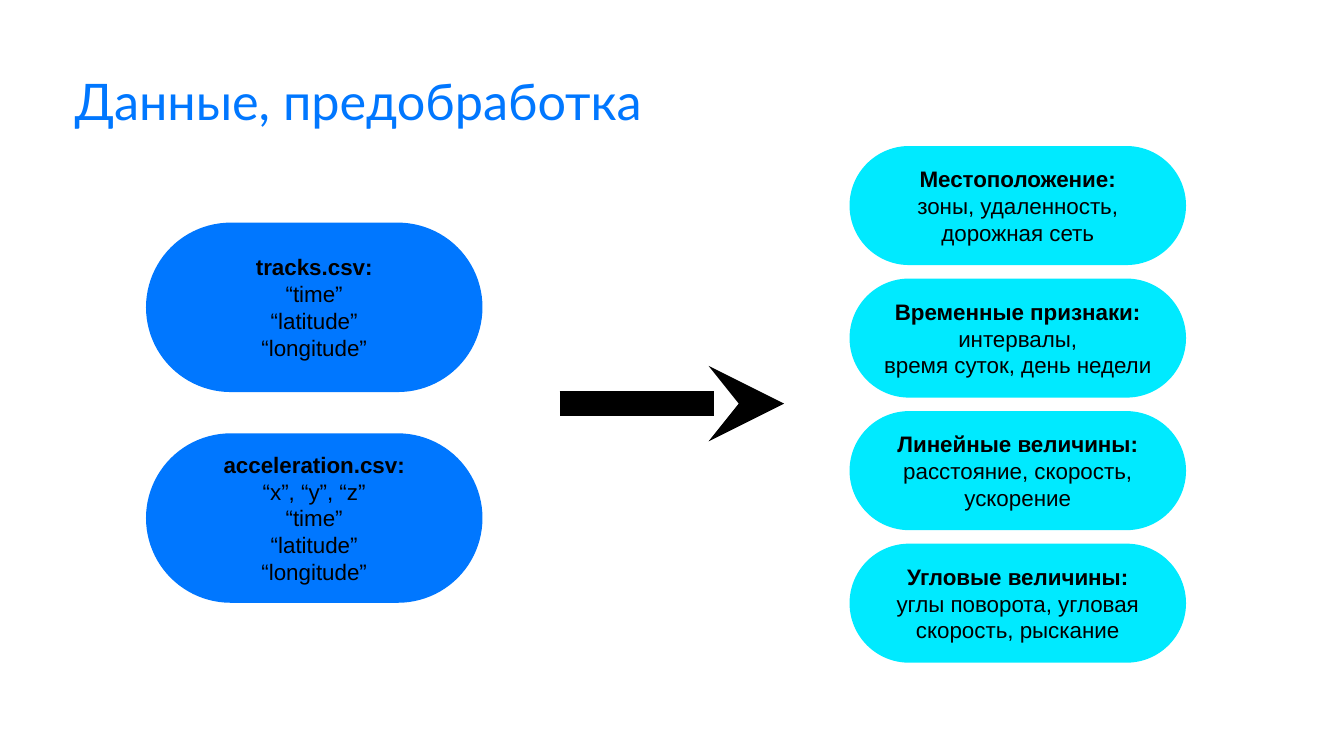
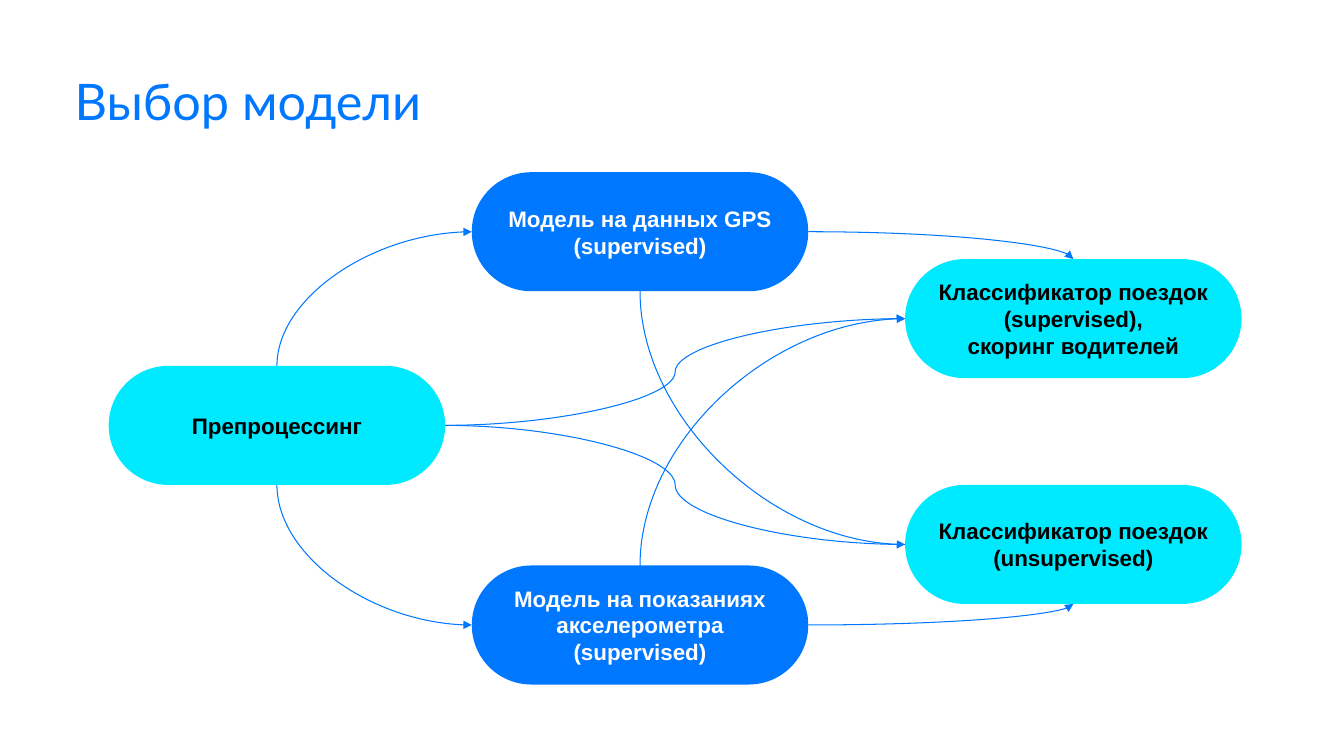
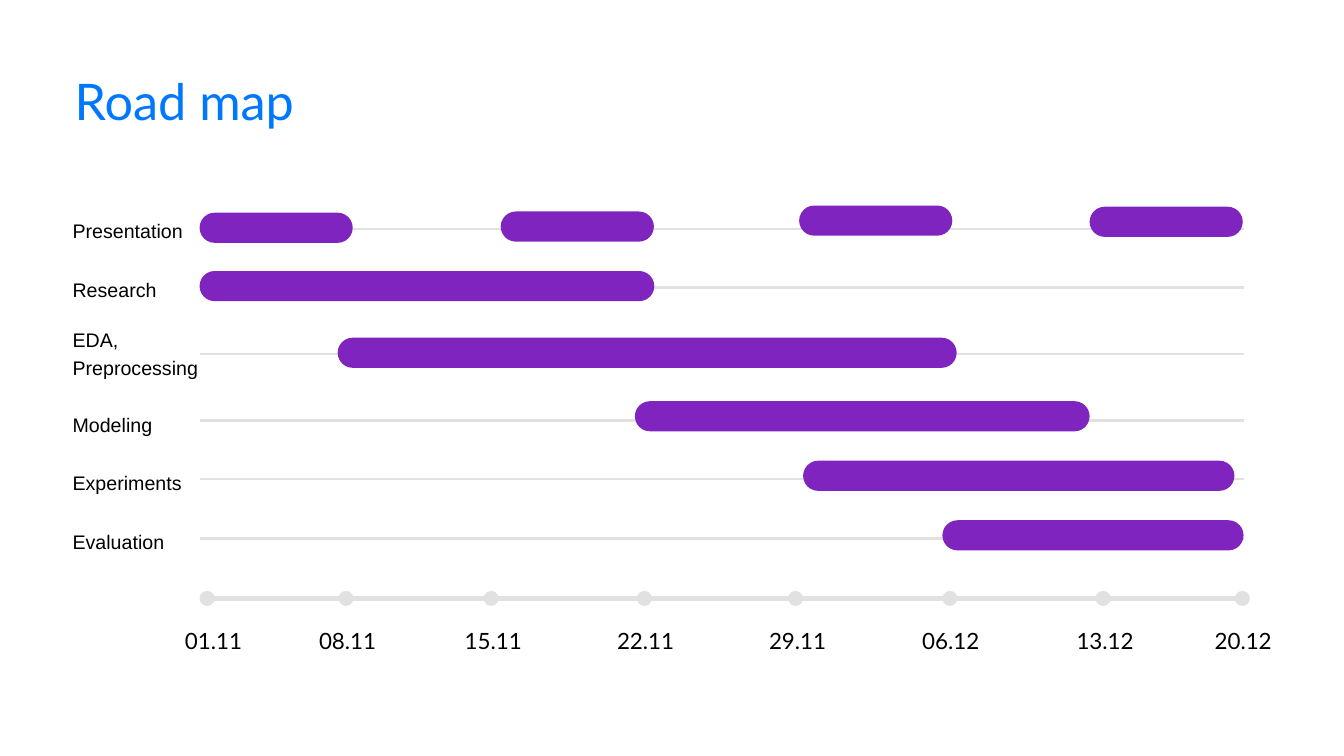
from dataclasses import dataclass

from lxml import etree
from pptx import Presentation
from pptx.dml.color import RGBColor
from pptx.enum import shapes, text
from pptx.oxml.ns import qn
from pptx.util import Cm, Pt


@dataclass(frozen=True)
class Theme:
    blue: str = "0077FF"
    cyan: str = "00EAFF"
    purple: str = "8024C0"
    grey: str = "E1E1E1"
    black: str = "000000"
    white: str = "FFFFFF"
    title_font: str = "Lato"
    body_font: str = "Arial"
    title_size: int = 36
    body_size: int = 16
    label_size: int = 14


THEME = Theme()
TOP, LEFT, BOTTOM, RIGHT = range(4)
PILL_WIDTH, PILL_HEIGHT = 8.48, 3.0


def box(left, top, width, height):
    return Cm(left), Cm(top), Cm(width), Cm(height)


def write_text(frame, lines, size=THEME.body_size, font=THEME.body_font,
               color=THEME.black, bold_lines=0, align=text.PP_ALIGN.LEFT,
               anchor=text.MSO_ANCHOR.TOP, spacing=1.0, margins=(0, 0)):
    """Write one paragraph per line; the first bold_lines are bold."""
    frame.word_wrap = True
    frame.auto_size = text.MSO_AUTO_SIZE.NONE
    frame.vertical_anchor = anchor
    frame.margin_left = frame.margin_right = Cm(margins[0])
    frame.margin_top = frame.margin_bottom = Cm(margins[1])
    for index, line in enumerate(lines):
        paragraph = frame.paragraphs[0] if index == 0 else frame.add_paragraph()
        paragraph.alignment = align
        paragraph.line_spacing = spacing
        run = paragraph.add_run()
        run.text = line
        run.font.size = Pt(size)
        run.font.name = font
        run.font.bold = index < bold_lines
        run.font.color.rgb = RGBColor.from_string(color)


def add_titled_slide(presentation, title):
    slide = presentation.slides.add_slide(presentation.slide_layouts[5])
    shape = slide.shapes.title
    shape.left, shape.top, shape.width, shape.height = box(1.88, 1.93, 28.02, 1.88)
    write_text(shape.text_frame, [title], size=THEME.title_size,
               font=THEME.title_font, color=THEME.blue, spacing=0.9)
    return slide


def add_filled(slide, kind, color, left, top, width, height):
    shape = slide.shapes.add_shape(kind, *box(left, top, width, height))
    shape.shadow.inherit = False
    shape.fill.solid()
    shape.fill.fore_color.rgb = RGBColor.from_string(color)
    shape.line.fill.background()
    return shape


def add_pill(slide, fill, left, top, width, height):
    """Add a rectangle with fully rounded ends."""
    shape = add_filled(slide, shapes.MSO_SHAPE.ROUNDED_RECTANGLE, fill,
                       left, top, width, height)
    shape.adjustments[0] = 0.5
    return shape


def add_text_pill(slide, fill, left, top, lines, height=PILL_HEIGHT, **formatting):
    shape = add_pill(slide, fill, left, top, PILL_WIDTH, height)
    write_text(shape.text_frame, lines, align=text.PP_ALIGN.CENTER,
               anchor=text.MSO_ANCHOR.MIDDLE, margins=(0.25, 0.13), **formatting)
    return shape


def add_text_box(slide, bounds, line, **formatting):
    frame = slide.shapes.add_textbox(*box(*bounds)).text_frame
    write_text(frame, [line], spacing=1.2, margins=(0.1, 0.1), **formatting)


def style_connector(connector, color, width, arrowhead=None):
    connector.line.color.rgb = RGBColor.from_string(color)
    connector.line.width = Pt(width)
    if arrowhead:
        etree.SubElement(connector.line._get_or_add_ln(), qn("a:tailEnd"), type=arrowhead)
    etree.SubElement(connector.element.spPr, qn("a:effectLst"))


def add_horizontal_line(slide, start, end, y, color, width, arrowhead=None):
    connector = slide.shapes.add_connector(
        shapes.MSO_CONNECTOR.STRAIGHT, Cm(start), Cm(y), Cm(end), Cm(y))
    style_connector(connector, color, width, arrowhead)


def start_vertically(connector):
    """Turn a one-bend curve so that it leaves its first shape up or down."""
    width, height = connector.width, connector.height
    goes_down = connector.end_y > connector.begin_y
    connector.left += (width - height) // 2
    connector.top += (height - width) // 2
    connector.width, connector.height = height, width
    transform = connector.element.spPr.xfrm
    transform.rot = 270
    transform.flipH, transform.flipV = goes_down, False


def add_curve(slide, source, source_side, target, target_side, arrowhead="triangle"):
    connector = slide.shapes.add_connector(shapes.MSO_CONNECTOR.CURVE, 0, 0, 0, 0)
    connector.begin_connect(source, source_side)
    connector.end_connect(target, target_side)
    vertical_start = source_side in (TOP, BOTTOM)
    if vertical_start or target_side in (TOP, BOTTOM):
        connector.element.spPr.find(qn("a:prstGeom")).set("prst", "curvedConnector2")
    if vertical_start:
        start_vertically(connector)
    style_connector(connector, THEME.blue, 0.75, arrowhead)


def build_data_slide(presentation):
    slide = add_titled_slide(presentation, "Данные, предобработка")
    sources = [
        ["tracks.csv:", "“time”", "“latitude”", "“longitude”"],
        ["acceleration.csv:", "“x”, “y”, “z”", "“time”", "“latitude”", "“longitude”"],
    ]
    features = [
        ["Местоположение:", "зоны, удаленность,", "дорожная сеть"],
        ["Временные признаки:", "интервалы,", "время суток, день недели"],
        ["Линейные величины:", "расстояние, скорость,", "ускорение"],
        ["Угловые величины:", "углы поворота, угловая скорость, рыскание"],
    ]
    for index, lines in enumerate(sources):
        add_text_pill(slide, THEME.blue, 3.68, 5.61 + 5.31 * index, lines,
                      height=4.27, bold_lines=1)
    for index, lines in enumerate(features):
        add_text_pill(slide, THEME.cyan, 21.41, 3.68 + 3.34 * index, lines, bold_lines=1)
    add_horizontal_line(slide, 14.1, 19.76, 10.17, THEME.black, 18, "stealth")


def build_model_slide(presentation):
    slide = add_titled_slide(presentation, "Выбор модели")

    def add_node(fill, left, top, lines, color=THEME.black):
        return add_text_pill(slide, fill, left, top, lines, color=color,
                             bold_lines=len(lines))

    gps = add_node(THEME.blue, 11.89, 4.34,
                   ["Модель на данных GPS (supervised)"], THEME.white)
    preprocessing = add_node(THEME.cyan, 2.74, 9.22, ["Препроцессинг"])
    accelerometer = add_node(THEME.blue, 11.89, 14.25,
                             ["Модель на показаниях акселерометра", "(supervised)"],
                             THEME.white)
    supervised = add_node(THEME.cyan, 22.81, 6.53,
                          ["Классификатор поездок (supervised),", "скоринг водителей"])
    unsupervised = add_node(THEME.cyan, 22.81, 12.22,
                            ["Классификатор поездок (unsupervised)"])

    add_curve(slide, preprocessing, TOP, gps, LEFT)
    add_curve(slide, preprocessing, BOTTOM, accelerometer, LEFT)
    add_curve(slide, gps, RIGHT, supervised, TOP)
    add_curve(slide, accelerometer, RIGHT, unsupervised, BOTTOM)
    add_curve(slide, preprocessing, RIGHT, supervised, LEFT)
    add_curve(slide, preprocessing, RIGHT, unsupervised, LEFT)
    add_curve(slide, accelerometer, TOP, supervised, LEFT)
    add_curve(slide, gps, BOTTOM, unsupervised, LEFT, arrowhead=None)


def build_road_map_slide(presentation):
    slide = add_titled_slide(presentation, "Road map")
    start, end, axis_y = 5.03, 31.34, 15.08
    dot_size, date_width, bar_height = 0.38, 1.9, 0.76
    # date, centre of its dot, centre of its label
    ticks = [
        ("01.11", 5.22, 5.38), ("08.11", 8.72, 8.76),
        ("15.11", 12.38, 12.43), ("22.11", 16.24, 16.27),
        ("29.11", 20.05, 20.1), ("06.12", 23.94, 23.96),
        ("13.12", 27.8, 27.85), ("20.12", 31.31, 31.33),
    ]
    # task, label top, label height, line y, bars as (left, top, width)
    tasks = [
        ("Presentation", 5.31, 0.79, 5.77,
         [(5.03, 5.36, 3.86), (12.62, 5.33, 3.86),
          (20.14, 5.18, 3.86), (27.46, 5.21, 3.86)]),
        ("Research", 6.78, 0.79, 7.24, [(5.03, 6.83, 11.46)]),
        ("EDA, Preprocessing", 8.05, 1.52, 8.92, [(8.51, 8.51, 15.6)]),
        ("Modeling", 10.19, 0.79, 10.59, [(16, 10.11, 11.46)]),
        ("Experiments", 11.66, 0.79, 12.07, [(20.24, 11.61, 10.87)]),
        ("Evaluation", 13.13, 0.79, 13.56, [(23.75, 13.11, 7.59)]),
    ]
    add_horizontal_line(slide, start, end, axis_y, THEME.grey, 3)
    for date, dot_center, label_center in ticks:
        add_filled(slide, shapes.MSO_SHAPE.OVAL, THEME.grey, dot_center - dot_size / 2,
                   axis_y - dot_size / 2, dot_size, dot_size)
        add_text_box(slide, (label_center - date_width / 2, 15.57, date_width, 0.89),
                     date, font=THEME.title_font, align=text.PP_ALIGN.CENTER)
    for task, label_top, label_height, line_y, bars in tasks:
        add_horizontal_line(slide, start, end, line_y, THEME.grey, 2)
        add_text_box(slide, (1.73, label_top, 3.68, label_height), task,
                     size=THEME.label_size)
        for left, top, width in bars:
            add_pill(slide, THEME.purple, left, top, width, bar_height)


def main():
    presentation = Presentation()
    presentation.slide_width, presentation.slide_height = Cm(33.87), Cm(19.05)
    build_data_slide(presentation)
    build_model_slide(presentation)
    build_road_map_slide(presentation)
    presentation.save("out.pptx")


if __name__ == "__main__":
    main()
